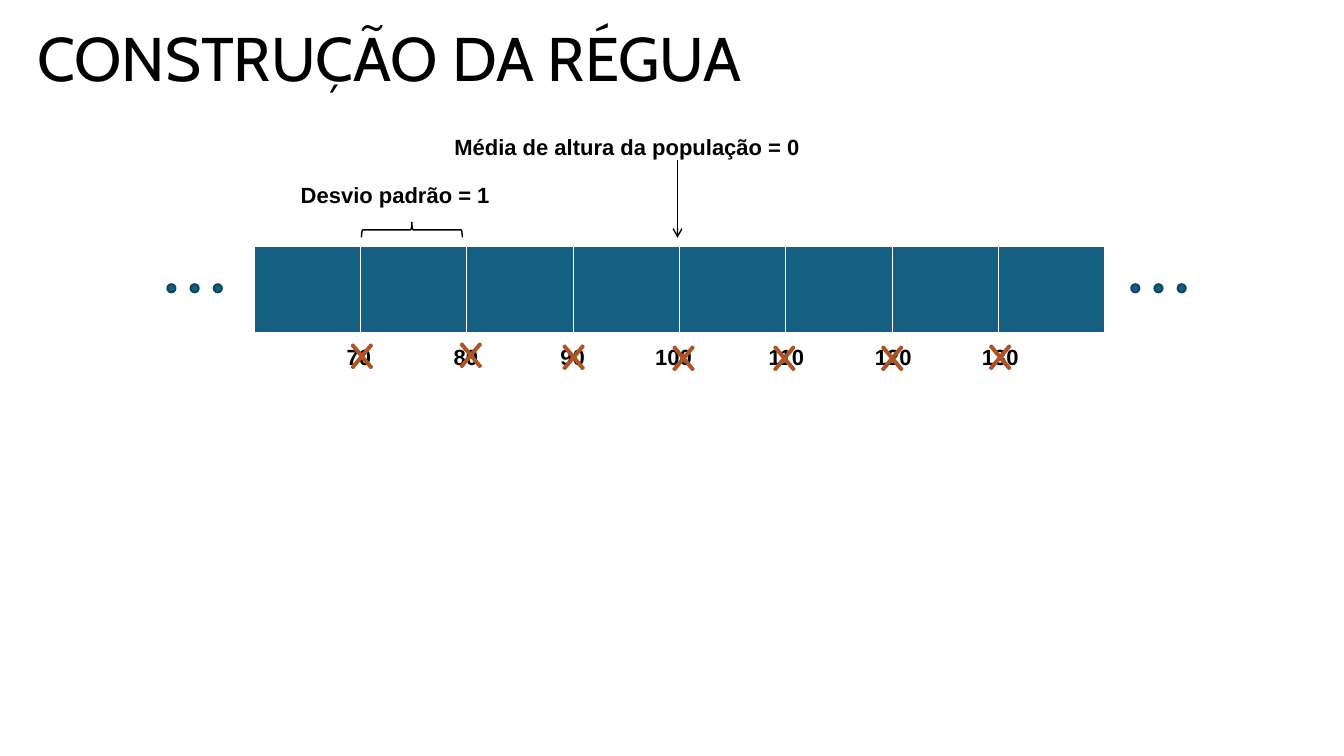
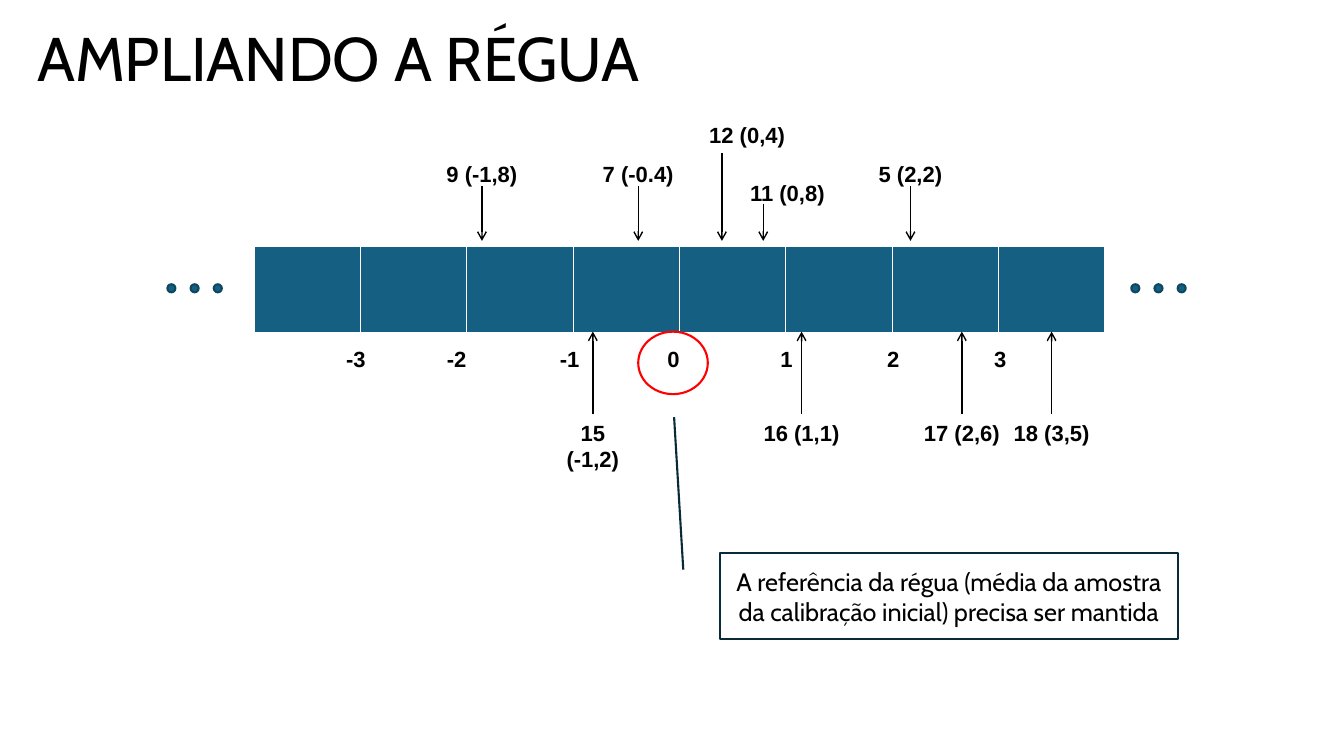
from lxml import etree
from pptx import Presentation
from pptx.dml.color import RGBColor
from pptx.enum.shapes import MSO_CONNECTOR, MSO_SHAPE
from pptx.enum.text import MSO_ANCHOR, MSO_AUTO_SIZE, PP_ALIGN
from pptx.oxml.ns import qn
from pptx.util import Inches, Pt

STRAIGHT = MSO_CONNECTOR.STRAIGHT
OVAL, CROSS = MSO_SHAPE.OVAL, MSO_SHAPE.MATH_MULTIPLY
BRACE, CALLOUT = MSO_SHAPE.LEFT_BRACE, MSO_SHAPE.LINE_CALLOUT_1
LEFT, CENTER = PP_ALIGN.LEFT, PP_ALIGN.CENTER
MIDDLE = MSO_ANCHOR.MIDDLE
NO_FIT = MSO_AUTO_SIZE.NONE
TOP_SIDE = 0

BLACK = RGBColor(0x00, 0x00, 0x00)
WHITE = RGBColor(0xFF, 0xFF, 0xFF)
BLUE = RGBColor(0x15, 0x60, 0x82)
DARK_BLUE = RGBColor(0x10, 0x47, 0x60)
NAVY = RGBColor(0x09, 0x2A, 0x39)
ORANGE = RGBColor(0xE9, 0x71, 0x32)
BROWN = RGBColor(0xAC, 0x54, 0x25)
RED = RGBColor(0xFF, 0x00, 0x00)

TITLE_FONT = {"name": "Cabin", "size": Pt(44), "bold": False}
NOTE_FONT = {"name": "Cabin", "size": Pt(18), "bold": False}
LABEL_FONT = {"name": "Arial", "size": Pt(15.7), "bold": True}
BORDERS = {"a:lnL": 1, "a:lnR": 1, "a:lnT": 1, "a:lnB": 3}

RULER_X, RULER_Y, RULER_W, RULER_H = 2.52, 2.44, 8.44, 0.87
RULER_CELLS = 8
DOT, DOT_GAP, DOT_Y = 0.08, 0.23, 2.82
LABEL_W, LABEL_H = 1.0, 0.36


class Deck:
    """Holds the shared style and the slide being drawn."""

    def __init__(self):
        self.prs = Presentation()
        self.prs.slide_width = Inches(13.33)
        self.prs.slide_height = Inches(7.5)
        self.s = None

    def set_text(self, tf, text, font, align):
        p = tf.paragraphs[0]
        p.alignment = align
        r = p.add_run()
        r.text = text
        for name, value in font.items():
            setattr(r.font, name, value)
        r.font.color.rgb = BLACK
        return p

    def new_slide(self, title):
        self.s = self.prs.slides.add_slide(self.prs.slide_layouts[5])
        sp = self.s.shapes.title
        sp.left, sp.top = Inches(0.27), Inches(0.22)
        sp.width, sp.height = Inches(12.8), Inches(0.79)
        tf = sp.text_frame
        tf.auto_size, tf.vertical_anchor = NO_FIT, MIDDLE
        self.set_text(tf, title, TITLE_FONT, LEFT).line_spacing = 0.9

    def label(self, text, center, y, w=LABEL_W):
        sp = self.s.shapes.add_textbox(Inches(center - w / 2), Inches(y),
                                       Inches(w), Inches(LABEL_H))
        sp.text_frame.word_wrap = False
        self.set_text(sp.text_frame, text, LABEL_FONT, CENTER)
        return sp

    def shape(self, kind, x, y, w, h, line, fill=None, weight=1.5):
        sp = self.s.shapes.add_shape(kind, Inches(x), Inches(y), Inches(w), Inches(h))
        sp.shadow.inherit = False
        sp.line.color.rgb, sp.line.width = line, Pt(weight)
        if fill is None:
            sp.fill.background()
        else:
            sp.fill.solid()
            sp.fill.fore_color.rgb = fill
        return sp

    def arrow(self, x, y1, y2, source=None):
        """Draw a vertical arrow, joined to the top of source if one is given."""
        c = self.s.shapes.add_connector(STRAIGHT, Inches(x), Inches(y1),
                                        Inches(x), Inches(y2))
        if source is not None:
            c.begin_connect(source, TOP_SIDE)
        c.line.color.rgb, c.line.width = BLACK, Pt(1)
        spPr = c._element.spPr
        etree.SubElement(spPr.find(qn("a:ln")), qn("a:tailEnd"), type="arrow")
        etree.SubElement(spPr, qn("a:effectLst"))

    def cross(self, center, y):
        sp = self.shape(CROSS, center - 0.18, y, 0.36, 0.43, BROWN, ORANGE)
        sp.adjustments[0] = 0.052

    def brace(self, x, y, w, h):
        sp = self.shape(BRACE, x, y, w, h, BLACK, weight=1)
        sp.rotation = 90

    def callout(self, text, x, y, w, h, adjustments):
        sp = self.shape(CALLOUT, x, y, w, h, NAVY)
        for i, value in enumerate(adjustments):
            sp.adjustments[i] = value
        tf = sp.text_frame
        tf.word_wrap, tf.vertical_anchor = True, MIDDLE
        self.set_text(tf, text, NOTE_FONT, CENTER)

    def ruler(self):
        """Draw the row of cells with three dots on either side."""
        for start in (1.66, 11.22):
            for i in range(3):
                self.shape(OVAL, start + i * DOT_GAP, DOT_Y, DOT, DOT, DARK_BLUE, BLUE)
        table = self.s.shapes.add_table(1, RULER_CELLS, Inches(RULER_X), Inches(RULER_Y),
                                        Inches(RULER_W), Inches(RULER_H)).table
        table.first_row = table.horz_banding = False
        for column, cell in zip(table.columns, table.rows[0].cells):
            column.width = Inches(RULER_W / RULER_CELLS)
            tcPr = cell._tc.get_or_add_tcPr()
            for tag, weight in BORDERS.items():
                ln = etree.SubElement(tcPr, qn(tag), w=str(Pt(weight)))
                fill = etree.SubElement(ln, qn("a:solidFill"))
                etree.SubElement(fill, qn("a:srgbClr"), val=str(WHITE))
            cell.fill.solid()
            cell.fill.fore_color.rgb = BLUE

    def scale(self, marks, y):
        for text, center in marks:
            self.label(text, center, y)


def build_construction(deck):
    deck.new_slide("CONSTRUÇÃO DA RÉGUA")
    deck.label("Desvio padrão = 1", 3.92, 1.75, 2.1)
    deck.label("Média de altura da população = 0", 6.22, 1.28, 3.67)
    deck.scale([("70", 3.56), ("80", 4.62), ("90", 5.68), ("100", 6.68),
                ("110", 7.8), ("120", 8.86), ("130", 9.92)], 3.36)
    deck.ruler()
    for center, y in [(3.59, 3.32), (4.67, 3.31), (5.69, 3.33), (6.78, 3.34),
                      (7.78, 3.34), (8.85, 3.34), (9.92, 3.33)]:
        deck.cross(center, y)
    deck.arrow(6.72, 1.59, 2.36)
    deck.brace(4.01, 1.78, 0.15, 1)


def build_extension(deck):
    deck.new_slide("AMPLIANDO A RÉGUA")
    deck.scale([("-3", 3.53), ("-2", 4.53), ("-1", 5.65), ("0", 6.68),
                ("1", 7.8), ("2", 8.86), ("3", 9.92)], 3.38)
    deck.ruler()
    for text, center, y, x, start in [("9 (-1,8)", 4.78, 1.54, 4.78, 1.85),
                                      ("7 (-0.4)", 6.33, 1.54, 6.33, 1.85),
                                      ("12 (0,4)", 7.41, 1.16, 7.16, 1.52),
                                      ("11 (0,8)", 7.81, 1.73, 7.57, 2.02),
                                      ("5 (2,2)", 9.03, 1.54, 9.03, 1.85)]:
        deck.label(text, center, y)
        deck.arrow(x, start, 2.39)
    for text, x in [("15 (-1,2)", 5.88), ("16 (1,1)", 7.95),
                    ("17 (2,6)", 9.54), ("18 (3,5)", 10.43)]:
        deck.arrow(x, 4.11, 3.29, deck.label(text, x, 4.11))
    deck.shape(OVAL, 6.33, 3.29, 0.69, 0.62, RED)
    deck.callout("A referência da régua (média da amostra da calibração inicial) "
                 "precisa ser mantida", 7.14, 5.49, 4.54, 0.85,
                 (0.19, -0.08, -1.59, -0.1))


def main():
    deck = Deck()
    build_construction(deck)
    build_extension(deck)
    deck.prs.save("out.pptx")


if __name__ == "__main__":
    main()
